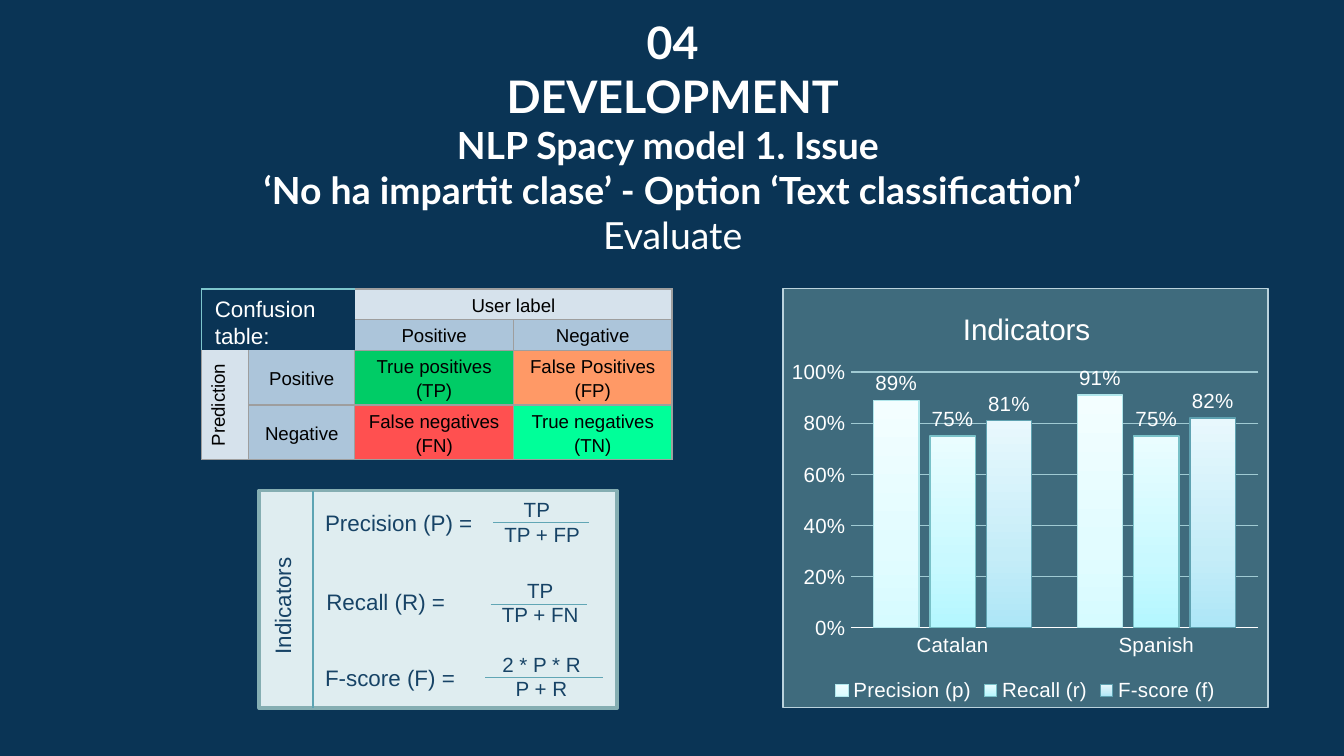
from dataclasses import dataclass

import lxml.etree
import pptx
import pptx.chart.data
import pptx.dml.color
import pptx.enum.chart
import pptx.enum.shapes
import pptx.enum.text
import pptx.oxml.ns
import pptx.util

COLORS = {
    "navy": "0A3455", "white": "FFFFFF", "black": "000000", "ink": "174366",
    "panel": "DFEDF0", "panel edge": "85AEB2", "divider": "5DA4B3", "fraction": "61A6B5",
    "chart": "3F6B7D", "chart edge": "BAD2DC", "grid": "A0CAD3",
    "header": "D6E2EC", "label": "ACC5DA", "border": "9E9E9E", "corner": "7CC5CC",
    "TP": "00CC66", "FP": "FF9966", "FN": "FF5050", "TN": "00FF99",
}
ALIGN = pptx.enum.text.PP_ALIGN
ANCHOR = pptx.enum.text.MSO_ANCHOR
qn = pptx.oxml.ns.qn

# The 16:9 slide is a grid of square units, 100 columns wide
deck = pptx.Presentation()
deck.slide_width = pptx.util.Inches(10)
deck.slide_height = deck.slide_width * 9 // 16
COLUMN = ROW = deck.slide_width / 100


@dataclass
class Area:
    left: float
    top: float
    width: float
    height: float

    def emu(self) -> tuple:
        return (round(self.left * COLUMN), round(self.top * ROW),
                round(self.width * COLUMN), round(self.height * ROW))


@dataclass
class Formula:
    name: str
    name_at: tuple
    numerator: str
    denominator: str
    fraction: Area
    bar: tuple  # start column, end column, row


@dataclass
class Cell:
    row: int
    column: int
    text: str = ""
    fill: str = ""
    to: tuple = ()


@dataclass
class Measure:
    name: str
    values: tuple
    gradient: tuple
    edge: str


def rgb(color: str):
    return pptx.dml.color.RGBColor.from_string(COLORS[color])


def set_all(target, **values) -> None:
    for key, value in values.items():
        setattr(target, key, value)


def set_font(font, size: float, color: str, name: str = "Arial", **values) -> None:
    set_all(font, size=pptx.util.Pt(size), name=name, **values)
    font.color.rgb = rgb(color)


def set_line(line, color: str, width: float) -> None:
    line.color.rgb = rgb(color)
    line.width = pptx.util.Pt(width)


def add(parent, tag: str, **attributes):
    return lxml.etree.SubElement(parent, qn(tag), attributes)


def add_solid(parent, color: str) -> None:
    add(add(parent, "a:solidFill"), "a:srgbClr", val=COLORS[color])


def add_text(area: Area, lines: list, size: float, color: str,
             align=ALIGN.LEFT, turned: bool = False) -> None:
    frame = page.shapes.add_textbox(*area.emu()).text_frame
    set_all(frame, word_wrap=True, auto_size=pptx.enum.text.MSO_AUTO_SIZE.SHAPE_TO_FIT_TEXT)
    if turned:
        frame._txBody.bodyPr.set("vert", "vert270")
    for index, line in enumerate(lines):
        para = frame.add_paragraph() if index else frame.paragraphs[0]
        para.alignment = align
        span = para.add_run()
        span.text = line
        set_font(span.font, size, color)


def add_line(start: tuple, end: tuple, color: str) -> None:
    points = [round(v * unit) for v, unit in zip(start + end, (COLUMN, ROW) * 2)]
    line = page.shapes.add_connector(pptx.enum.shapes.MSO_CONNECTOR.STRAIGHT, *points)
    set_line(line.line, color, 0.75)
    add(line._element.spPr, "a:effectLst")


def add_borders(cell, sides: dict) -> None:
    properties = cell._tc.get_or_add_tcPr()
    for index, side in enumerate("LRTB"):
        color, width = sides.get(side, ("", 0))
        line = lxml.etree.Element(qn("a:ln" + side), w=str(pptx.util.Pt(width)))
        if color:
            add_solid(line, color)
        else:
            add(line, "a:noFill")
        properties.insert(index, line)


def fill_cell(table, item: Cell) -> None:
    cell = table.cell(item.row, item.column)
    if item.to:
        cell.merge(table.cell(*item.to))
    inset = pptx.util.Pt(1.8)
    set_all(cell, margin_left=inset, margin_right=inset, margin_top=inset, margin_bottom=inset,
            vertical_anchor=ANCHOR.BOTTOM if item.row < 2 else ANCHOR.MIDDLE)
    para = cell.text_frame.paragraphs[0]
    if not item.text:
        cell.fill.background()
        add(para._p, "a:endParaRPr", sz="1000")
        return
    cell.fill.solid()
    cell.fill.fore_color.rgb = rgb(item.fill)
    if item.to and item.column == item.to[1]:
        cell._tc.get_or_add_tcPr().set("vert", "vert270")
    para.text = item.text
    set_all(para, alignment=ALIGN.CENTER, line_spacing=1.15, space_after=pptx.util.Pt(10))
    for span in para.runs:
        set_font(span.font, 10, "black")
    for line_break in para._p.findall(qn("a:br")):
        add(line_break, "a:rPr", sz="1000")


def place(element, index: int, **shares) -> None:
    """Set a manual layout, in shares of the chart's size."""
    for old in element.findall(qn("c:layout")):
        element.remove(old)
    layout = lxml.etree.Element(qn("c:layout"))
    manual = add(layout, "c:manualLayout")
    if "w" in shares:
        add(manual, "c:layoutTarget", val="inner")
    for mode in ("c:xMode", "c:yMode"):
        add(manual, mode, val="edge")
    for key, value in shares.items():
        add(manual, "c:" + key, val=str(value))
    element.insert(index, layout)


def style_measure(series, measure: Measure) -> None:
    set_line(series.format.line, measure.edge, 0.75)
    gradient = lxml.etree.Element(qn("a:gradFill"), rotWithShape="1")
    stops = add(gradient, "a:gsLst")
    for position, color in zip((0, 35, 100), measure.gradient):
        add(add(stops, "a:gs", pos=str(position * 1000)), "a:srgbClr", val=color)
    add(gradient, "a:lin", ang=str(270 * 60000), scaled="0")
    series._element.spPr.insert(0, gradient)
    set_all(series.data_labels, show_value=True, number_format="0%", number_format_is_linked=False,
            position=pptx.enum.chart.XL_LABEL_POSITION.OUTSIDE_END)
    set_font(series.data_labels.font, 11, "white")


page = deck.slides.add_slide(deck.slide_layouts[5])
page.background.fill.solid()
page.background.fill.fore_color.rgb = rgb("navy")

# Title
title = page.shapes.title
set_all(title, **dict(zip(("left", "top", "width", "height"), Area(12.1, 0.1, 75.9, 16.5).emu())))
inset = pptx.util.Inches(0.1)
set_all(title.text_frame, margin_left=inset, margin_right=inset, margin_top=inset, margin_bottom=inset,
        word_wrap=True, vertical_anchor=ANCHOR.TOP, auto_size=pptx.enum.text.MSO_AUTO_SIZE.NONE)
title.text_frame.text = "\n".join((
    "04", "DEVELOPMENT", "NLP Spacy model 1. Issue ",
    "‘No ha impartit clase’ - Option ‘Text classification’", "Evaluate"))
for para, size in zip(title.text_frame.paragraphs, (24, 24, 20, 20, 20)):
    para.alignment = ALIGN.CENTER
    set_font(para.runs[0].font, size, "white", "Lato", bold=para.text != "Evaluate")

# Formula panel
panel = page.shapes.add_shape(pptx.enum.shapes.MSO_SHAPE.RECTANGLE, *Area(19.3, 36.5, 26.6, 16.2).emu())
panel.shadow.inherit = False
panel.fill.solid()
panel.fill.fore_color.rgb = rgb("panel")
set_line(panel.line, "panel edge", 2)

# Indicator chart
COLORS |= {"Precision": "B0E6EB", "Recall": "79C1C8", "F-score": "5FA2B1"}
MEASURES = [
    Measure("Precision (p)", (0.89, 0.91), ("D6FBFF", "E2FCFF", "F3FEFF"), "Precision"),
    Measure("Recall (r)", (0.75, 0.75), ("B4F7FF", "C9F9FF", "EAFDFF"), "Recall"),
    Measure("F-score (f)", (0.81, 0.82), ("ADE6F7", "C5EDF8", "E8F8FD"), "F-score"),
]
data = pptx.chart.data.CategoryChartData(number_format="0%")
data.categories = ["Catalan", "Spanish"]
for measure in MEASURES:
    data.add_series(measure.name, measure.values)
chart = page.shapes.add_chart(pptx.enum.chart.XL_CHART_TYPE.COLUMN_CLUSTERED,
                              *Area(58.2, 21.4, 36.2, 31.3).emu(), data).chart
set_font(chart.font, 10, "white")
chart.has_title = chart.has_legend = True
chart.chart_title.text_frame.text = "Indicators"
set_font(chart.chart_title.text_frame.paragraphs[0].runs[0].font, 16, "white", bold=False)
set_all(chart.legend, position=pptx.enum.chart.XL_LEGEND_POSITION.BOTTOM, include_in_layout=False)
set_font(chart.legend.font, 11, "white")
for axis in (chart.category_axis, chart.value_axis):
    axis.major_tick_mark = axis.minor_tick_mark = pptx.enum.chart.XL_TICK_MARK.NONE
    set_font(axis.tick_labels.font, 11, "white")
set_line(chart.category_axis.format.line, "white", 0.75)
set_all(chart.value_axis, minimum_scale=0, maximum_scale=1, major_unit=0.2, has_major_gridlines=True)
set_all(chart.value_axis.tick_labels, number_format="0%", number_format_is_linked=False)
chart.value_axis.format.line.fill.background()
set_line(chart.value_axis.major_gridlines.format.line, "grid", 0.75)
set_all(chart.plots[0], gap_width=100, overlap=-24, vary_by_categories=False)
for series, measure in zip(chart.plots[0].series, MEASURES):
    style_measure(series, measure)
place(chart.chart_title._element, 1, x=0.36, y=0.04)
place(chart._chartSpace.chart.plotArea, 0, x=0.14, y=0.2, w=0.84, h=0.61)
frame_format = lxml.etree.Element(qn("c:spPr"))
add_solid(frame_format, "chart")
add_solid(add(frame_format, "a:ln", w=str(pptx.util.Pt(0.75))), "chart edge")
chart._chartSpace.chart.addnext(frame_format)

# Confusion table
CELLS = [
    Cell(0, 0), Cell(0, 1), Cell(1, 0), Cell(1, 1),
    Cell(0, 2, "User label", "header", (0, 3)),
    Cell(1, 2, "Positive", "label"), Cell(1, 3, "Negative", "label"),
    Cell(2, 0, "Prediction", "header", (3, 0)),
    Cell(2, 1, "Positive", "label"), Cell(3, 1, "Negative", "label"),
    Cell(2, 2, "True positives\v(TP)", "TP"), Cell(2, 3, "False Positives\v(FP)", "FP"),
    Cell(3, 2, "False negatives\v(FN)", "FN"), Cell(3, 3, "True negatives\v(TN)", "TN"),
]
table = page.shapes.add_table(4, 4, *Area(15, 21.5, 35, 11.4).emu()).table
set_all(table, first_row=False, horz_banding=False)
for column, width in zip(table.columns, (3.5, 7.9, 11.8, 11.8)):
    column.width = round(width * COLUMN)
for row, height in zip(table.rows, (2, 2, 3.7, 3.7)):
    row.height = round(height * ROW)
for item in CELLS:
    fill_cell(table, item)
for row in range(4):
    for column in range(4):
        if row < 2 and column < 2:
            sides = {"L": ("corner", 1)} if column == 0 else {}
            sides |= {"T": ("corner", 1)} if row == 0 else {}
        else:
            sides = dict.fromkeys("LRTB", ("border", 0.75))
            if row < 2 and column == 2:
                del sides["L"]
            if row == 2 and column < 2:
                del sides["T"]
        add_borders(table.cell(row, column), sides)
add_text(Area(15, 21.5, 11.5, 5), ["Confusion table:"], 12, "white")

# Formulas
FORMULAS = [
    Formula("Precision (P) =", (23.2, 37.4), "TP ", " TP + FP", Area(35.6, 36.5, 9.1, 4.7), (36.7, 43.8, 38.9)),
    Formula("Recall (R) =", (23.3, 43.3), "TP", "TP + FN", Area(36, 42.5, 8.4, 4.7), (36.5, 43.7, 45)),
    Formula("F-score (F) =", (23.2, 48.9), "2 * P * R", "P + R", Area(36.1, 48, 8.4, 4.7), (36.1, 44.9, 50.4)),
]
for formula in FORMULAS:
    start, end, row = formula.bar
    add_text(formula.fraction, [formula.numerator, formula.denominator], 11, "ink", ALIGN.CENTER)
    add_text(Area(*formula.name_at, 13.2, 3), [formula.name], 12, "ink")
    add_line((start, row), (end, row), "fraction")
add_text(Area(19.5, 38.3, 4, 13.6), ["Indicators"], 12, "ink", ALIGN.CENTER, turned=True)
add_line((23.3, 36.5), (23.3, 52.7), "divider")

deck.save("out.pptx")
